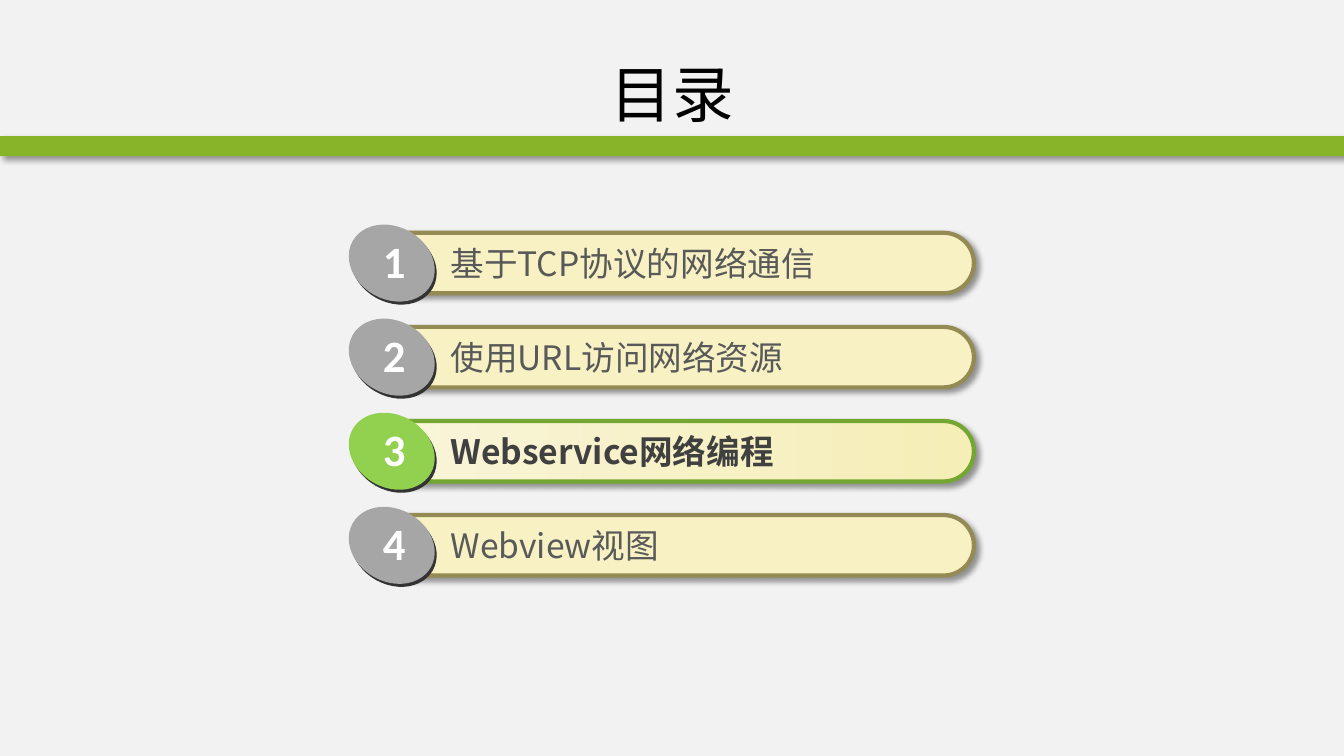
from lxml import etree
from pptx import Presentation
from pptx.dml.color import RGBColor
from pptx.enum import shapes, text
from pptx.oxml import ns
from pptx.util import Inches, Pt

BACKGROUND = RGBColor(0xF2, 0xF2, 0xF2)
BAND_GREEN = RGBColor(0x88, 0xB4, 0x29)
CREAM = RGBColor(0xF7, 0xF1, 0xC4)
CREAM_LIGHT = RGBColor(0xF9, 0xF5, 0xD9)
CREAM_DEEP = RGBColor(0xF5, 0xEE, 0xB7)
OLIVE = RGBColor(0x94, 0x8A, 0x54)
ACTIVE_LINE = RGBColor(0x74, 0xA7, 0x31)
ACTIVE_BADGE = RGBColor(0x92, 0xD0, 0x50)
GREY_BADGE = RGBColor(0xA6, 0xA6, 0xA6)
BADGE_EDGE = RGBColor(0x33, 0x33, 0x33)
ENTRY_TEXT = RGBColor(0x59, 0x59, 0x59)
ACTIVE_TEXT = RGBColor(0x40, 0x40, 0x40)
WHITE = RGBColor(0xFF, 0xFF, 0xFF)
BLACK = RGBColor(0, 0, 0)

CJK_FONT = "Noto Sans CJK SC"
NUMBER_FONT = "Calibri"

ENTRIES = ["基于TCP协议的网络通信", "使用URL访问网络资源", "Webservice网络编程", "Webview视图"]
ACTIVE_ENTRY = 3
FIRST_TOP, LAST_TOP = 2.31, 5.11


def add_shadow(shape):
    effects = shape._element.spPr.find(ns.qn("a:effectLst"))
    shadow = etree.SubElement(effects, ns.qn("a:outerShdw"), blurRad=str(Pt(4)),
                              dist=str(Pt(3)), dir=str(45 * 60000),
                              algn="tl", rotWithShape="0")
    color = etree.SubElement(shadow, ns.qn("a:srgbClr"), val="000000")
    etree.SubElement(color, ns.qn("a:alpha"), val="40000")


def add_solid(parent, preset, left, top, width, height, color):
    shape = parent.shapes.add_shape(preset, Inches(left), Inches(top),
                                    Inches(width), Inches(height))
    shape.shadow.inherit = False
    shape.fill.solid()
    shape.fill.fore_color.rgb = color
    shape.line.fill.background()
    return shape


def add_label(parent, left, top, width, height, words, font, size, color,
              bold=False, wrap=True, align=text.PP_ALIGN.LEFT,
              anchor=text.MSO_ANCHOR.TOP):
    label = parent.shapes.add_textbox(Inches(left), Inches(top),
                                      Inches(width), Inches(height))
    frame = label.text_frame
    frame.word_wrap = wrap
    frame.vertical_anchor = anchor
    paragraph = frame.paragraphs[0]
    paragraph.alignment = align
    run = paragraph.add_run()
    run.text = words
    run.font.name = font
    run.font.size = Pt(size)
    run.font.bold = bold
    run.font.color.rgb = color
    # East Asian glyphs take their own typeface
    etree.SubElement(run.font._element, ns.qn("a:ea"), typeface=font)


def add_bar(group, top, active):
    bar = add_solid(group, shapes.MSO_SHAPE.ROUNDED_RECTANGLE, 3.66, top, 6, 0.6, CREAM)
    bar.adjustments[0] = 0.5
    bar.line.color.rgb = ACTIVE_LINE if active else OLIVE
    bar.line.width = Pt(3)
    if active:
        bar.fill.gradient()
        bar.fill.gradient_angle = 0
        for stop, color in zip(bar.fill.gradient_stops, (CREAM_LIGHT, CREAM_DEEP)):
            stop.color.rgb = color
    add_shadow(bar)


def add_badge(group, top, number, color):
    # A dark disc peeks out below the coloured one
    for left, offset, fill in ((3.46, -0.03, BADGE_EDGE), (3.44, -0.06, color)):
        disc = add_solid(group, shapes.MSO_SHAPE.OVAL, left, top + offset, 0.89, 0.72, fill)
        disc.rotation = 29.3
    add_label(group, 3.7, top - 0.04, 0.43, 0.64, str(number), NUMBER_FONT, 32,
              WHITE, bold=True, wrap=False)


def add_entry(slide, number, words):
    pitch = (LAST_TOP - FIRST_TOP) / (len(ENTRIES) - 1)
    top = FIRST_TOP + (number - 1) * pitch
    active = number == ACTIVE_ENTRY
    group = slide.shapes.add_group_shape()
    add_bar(group, top, active)
    add_label(group, 4.37, top + 0.05, 4.9, 0.5, words, CJK_FONT, 24,
              ACTIVE_TEXT if active else ENTRY_TEXT, bold=active)
    add_badge(group, top, number, ACTIVE_BADGE if active else GREY_BADGE)


def main():
    deck = Presentation()
    deck.slide_width = Inches(13.33)
    deck.slide_height = Inches(7.5)
    slide = deck.slides.add_slide(deck.slide_layouts[6])
    slide.background.fill.solid()
    slide.background.fill.fore_color.rgb = BACKGROUND

    # Heading and green band
    band = add_solid(slide, shapes.MSO_SHAPE.RECTANGLE, 0, 1.35, 13.33, 0.2, BAND_GREEN)
    add_shadow(band)
    add_label(slide, 0.67, 0.3, 12, 1.25, "目录", CJK_FONT, 44, BLACK,
              align=text.PP_ALIGN.CENTER, anchor=text.MSO_ANCHOR.MIDDLE)

    # Contents list
    for number, words in enumerate(ENTRIES, start=1):
        add_entry(slide, number, words)

    deck.save("out.pptx")


if __name__ == "__main__":
    main()
